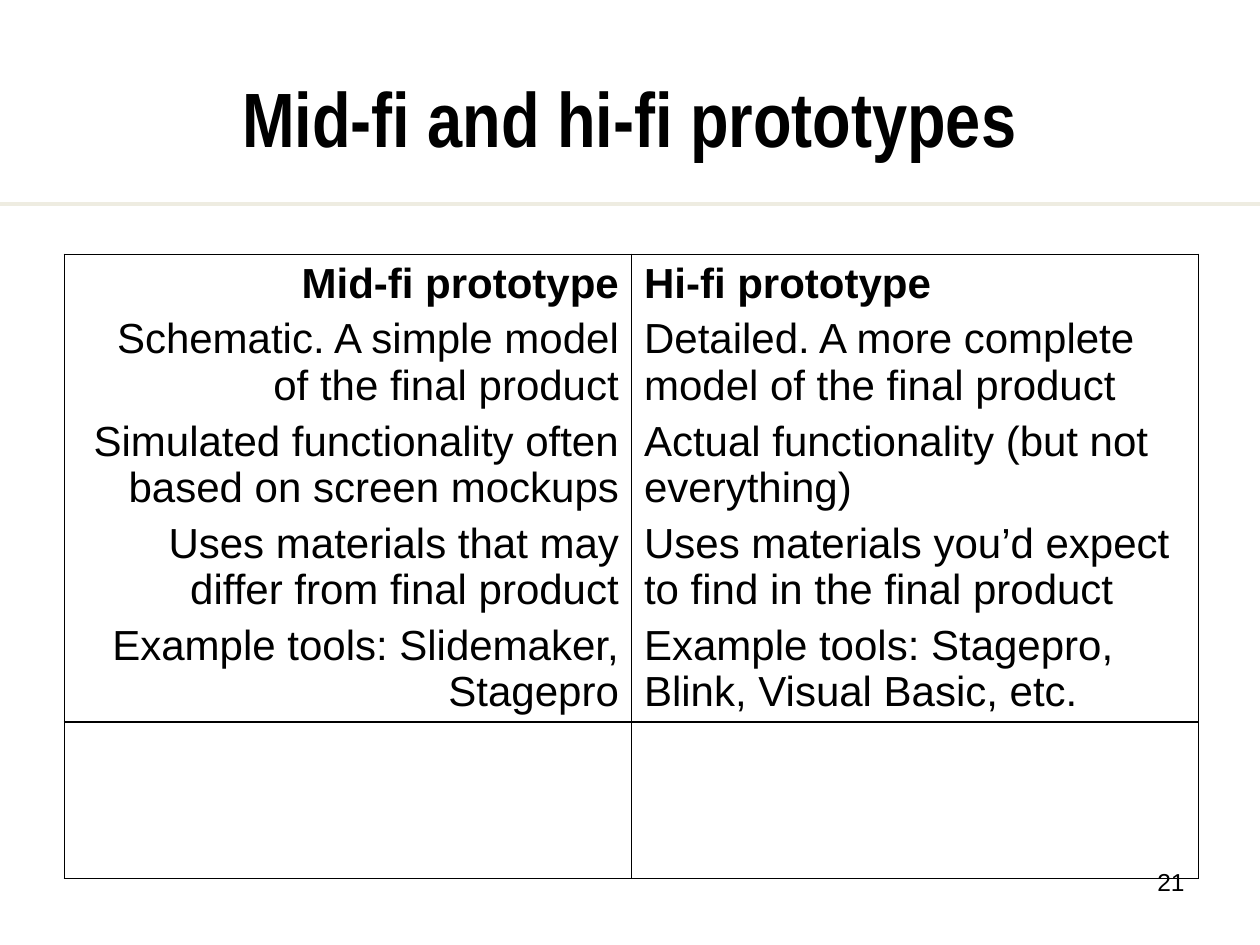
from lxml import etree
from pptx import Presentation
from pptx.dml.color import RGBColor
from pptx.enum.shapes import MSO_CONNECTOR
from pptx.enum.text import MSO_ANCHOR, PP_ALIGN
from pptx.oxml import parse_xml
from pptx.oxml.ns import nsdecls, qn
from pptx.util import Cm, Pt

BLACK = RGBColor(0x00, 0x00, 0x00)
CREAM = RGBColor(0xEE, 0xEC, 0xE1)
LEFT, CENTER, RIGHT = PP_ALIGN.LEFT, PP_ALIGN.CENTER, PP_ALIGN.RIGHT
MIDDLE = MSO_ANCHOR.MIDDLE
STRAIGHT = MSO_CONNECTOR.STRAIGHT
BORDER_WIDTH = Pt(0.96)
COLUMN_WIDTH = Cm(11.43)
ROW_HEIGHTS = (Cm(9.42), Cm(3.15))
COLUMNS = (
    (RIGHT, (
        "Mid-fi prototype",
        "Schematic. A simple model of the final product",
        "Simulated functionality often based on screen mockups",
        "Uses materials that may differ from final product",
        "Example tools: Slidemaker, Stagepro",
    )),
    (LEFT, (
        "Hi-fi prototype",
        "Detailed. A more complete model of the final product",
        "Actual functionality (but not everything)",
        "Uses materials you’d expect to find in the final product",
        "Example tools: Stagepro, Blink, Visual Basic, etc.",
    )),
)


def format_paragraph(para, size, align, bold=False, name="Arial"):
    """Set the alignment and font of a whole paragraph."""
    para.alignment = align
    para.font.name = name
    para.font.size = Pt(size)
    para.font.bold = bold
    para.font.color.rgb = BLACK


def set_title(page, text):
    """Place and format the title placeholder."""
    title = page.shapes.title
    title.left, title.top, title.width, title.height = Cm(1.27), Cm(0.76), Cm(22.86), Cm(3.18)
    frame = title.text_frame
    frame.text = text
    frame.vertical_anchor = MIDDLE
    format_paragraph(frame.paragraphs[0], 44, CENTER, True, "Arial Narrow")


def add_rule(page, top, width):
    """Draw the horizontal rule under the title."""
    rule = page.shapes.add_connector(STRAIGHT, 0, top, width, top)
    rule.line.color.rgb = CREAM
    rule.line.width = Pt(2)
    etree.SubElement(rule._element.spPr, qn("a:effectLst"))


def set_borders(cell):
    """Give a cell a thin black line on all four sides."""
    properties = cell._tc.get_or_add_tcPr()
    for index, side in enumerate("LRTB"):
        properties.insert(index, parse_xml(
            f'<a:ln{side} {nsdecls("a")} w="{BORDER_WIDTH}"><a:solidFill>'
            f'<a:srgbClr val="{BLACK}"/></a:solidFill></a:ln{side}>'))


def fill_cell(cell, lines, align):
    """Write lines into a cell, the first one as a bold heading."""
    frame = cell.text_frame
    frame.text = "\n".join(lines)
    for index, para in enumerate(frame.paragraphs):
        format_paragraph(para, 24, align, index == 0)
        para.space_before = Pt(4.8)


def add_comparison(page):
    """Add the two-column table comparing the prototypes."""
    table = page.shapes.add_table(
        len(ROW_HEIGHTS), len(COLUMNS), Cm(1.3), Cm(5.13),
        COLUMN_WIDTH * len(COLUMNS), sum(ROW_HEIGHTS)).table
    table.first_row = table.horz_banding = False
    for row, height in zip(table.rows, ROW_HEIGHTS):
        row.height = height
    for cell in table.iter_cells():
        cell.fill.background()
        set_borders(cell)
    for index, (align, lines) in enumerate(COLUMNS):
        table.columns[index].width = COLUMN_WIDTH
        fill_cell(table.cell(0, index), lines, align)


def add_page_number(page, text):
    """Add the page number at the lower right."""
    box = page.shapes.add_textbox(Cm(18.21), Cm(17.35), Cm(5.92), Cm(1.32))
    frame = box.text_frame
    frame.word_wrap = True
    frame.text = text
    format_paragraph(frame.paragraphs[0], 14, RIGHT)


def main():
    """Build and save the slide."""
    deck = Presentation()
    deck.slide_width, deck.slide_height = Cm(25.4), Cm(19.05)
    page = deck.slides.add_slide(deck.slide_layouts.get_by_name("Title Only"))
    set_title(page, "Mid-fi and hi-fi prototypes")
    add_rule(page, Cm(4.11), deck.slide_width)
    add_comparison(page)
    add_page_number(page, "21")
    deck.save("out.pptx")


if __name__ == "__main__":
    main()
